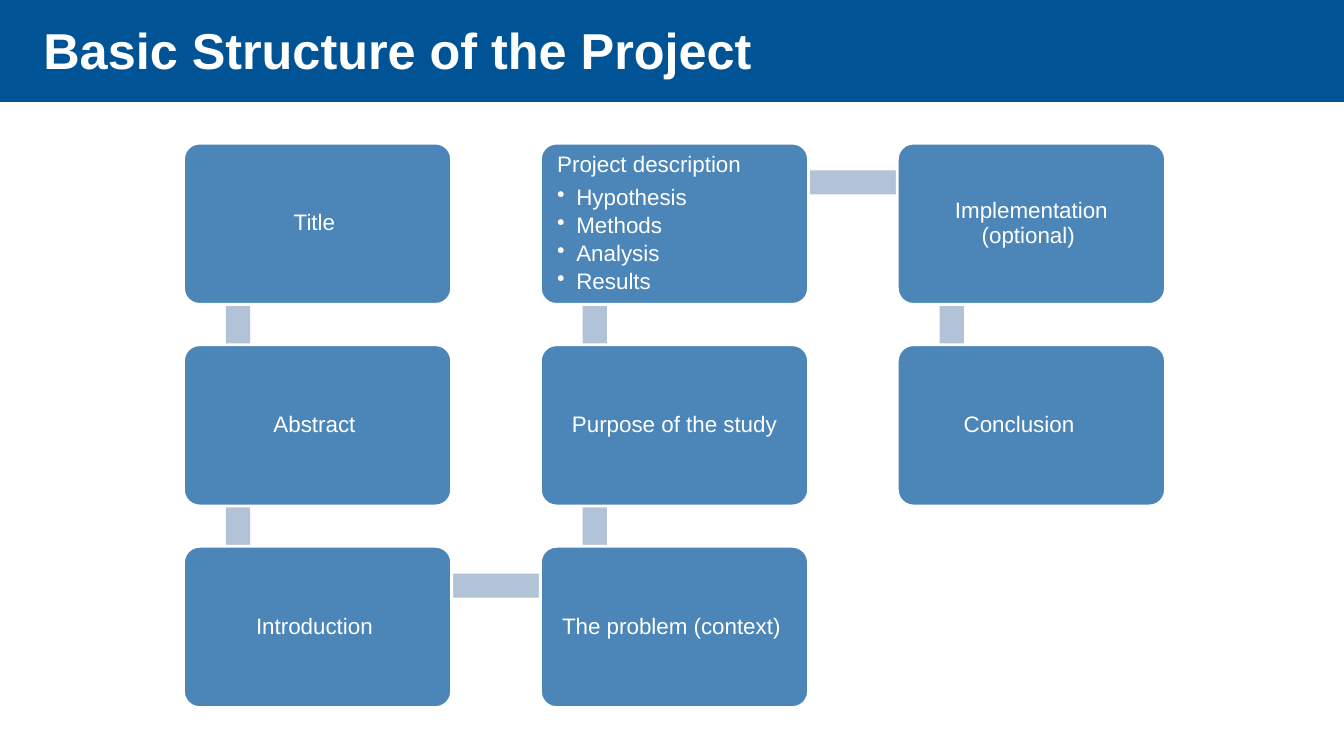
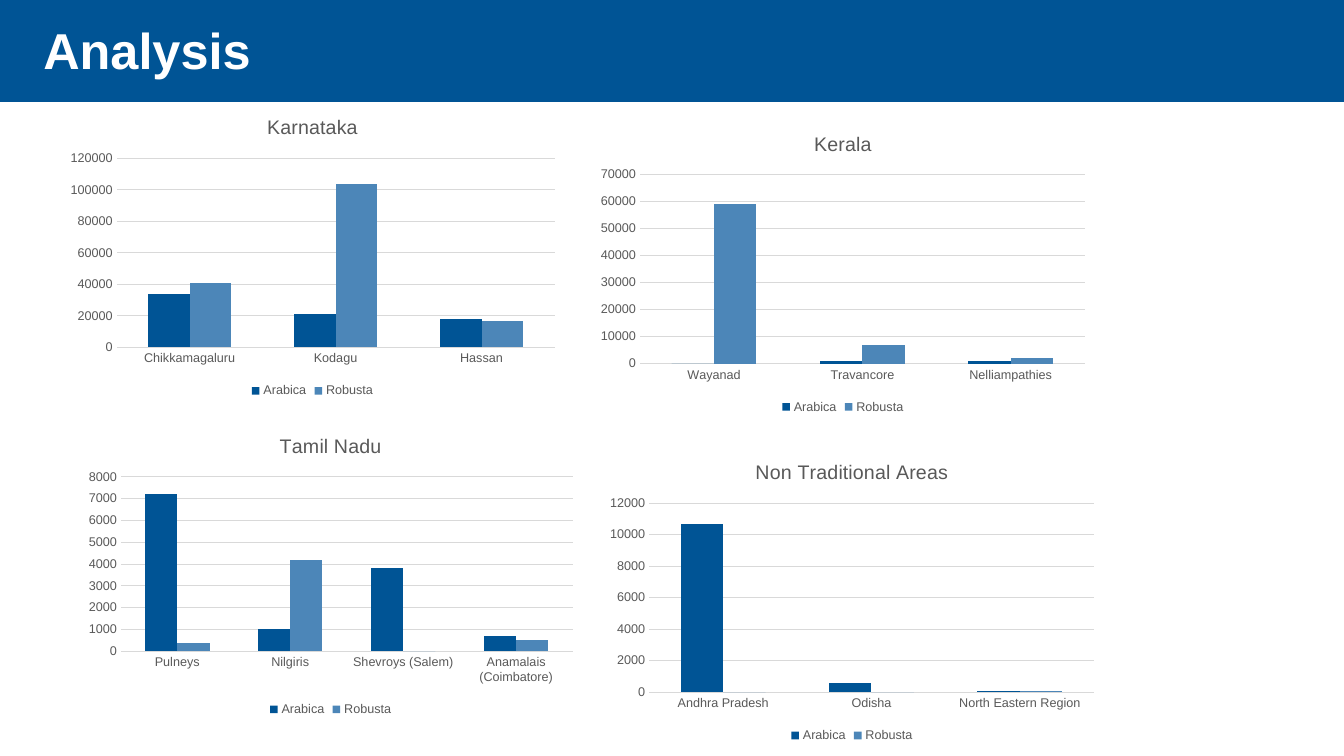
from pptx import Presentation
from pptx.chart.data import CategoryChartData
from pptx.dml.color import RGBColor
from pptx.enum.chart import XL_CHART_TYPE, XL_LEGEND_POSITION, XL_TICK_MARK
from pptx.enum.shapes import MSO_SHAPE
from pptx.enum.text import MSO_ANCHOR, PP_ALIGN
from pptx.oxml.ns import qn
from pptx.util import Inches, Pt
from lxml import etree

RECTANGLE, ROUNDED = MSO_SHAPE.RECTANGLE, MSO_SHAPE.ROUNDED_RECTANGLE
LEFT, CENTER, MIDDLE = PP_ALIGN.LEFT, PP_ALIGN.CENTER, MSO_ANCHOR.MIDDLE
COLUMNS, BOTTOM = XL_CHART_TYPE.COLUMN_CLUSTERED, XL_LEGEND_POSITION.BOTTOM
NO_TICK = XL_TICK_MARK.NONE

FONT = "Arial"
COLORS = {"navy": "005495", "blue": "4C86B8", "link": "B2C3D8", "white": "FFFFFF",
          "label": "595959", "grid": "D9D9D9"}
WIDTH, HEIGHT, BAND_HEIGHT = 13.33, 7.5, 1

# Content: steps in reading order, each with its column and row
STEPS = [
    ("Title ", 0, 0),
    ("Abstract ", 0, 1),
    ("Introduction ", 0, 2),
    ("The problem (context) ", 1, 2),
    ("Purpose of the study", 1, 1),
    ("Project description", 1, 0),
    ("Implementation (optional) ", 2, 0),
    ("Conclusion    ", 2, 1),
]
DETAILS = {"Project description": ["Hypothesis", "Methods", "Analysis", "Results"]}

# Content: region, left, top, districts, Arabica, Robusta
REGIONS = [
    ("Karnataka", 0.6, 0.99, ["Chikkamagaluru", "Kodagu", "Hassan"],
     [34000, 21000, 18000], [41000, 104000, 17000]),
    ("Kerala", 5.86, 1.15, ["Wayanad", "Travancore", "Nelliampathies"],
     [0, 1000, 1000], [59000, 7000, 2000]),
    ("Tamil Nadu", 0.78, 4.15,
     ["Pulneys", "Nilgiris", "Shevroys (Salem)", "Anamalais (Coimbatore)"],
     [7200, 1000, 3800, 700], [400, 4200, 0, 500]),
    ("Non Traditional Areas", 5.95, 4.41,
     ["Andhra Pradesh", "Odisha", "North Eastern Region"],
     [10700, 600, 100], [0, 0, 100]),
]
CHART_WIDTH, CHART_HEIGHT = 5, 3

# Step grid
GRID_LEFT, GRID_TOP, COLUMN_STEP, ROW_STEP = 1.82, 1.42, 3.54, 2
BOX_WIDTH, BOX_HEIGHT, BOX_INSET = 2.66, 1.6, 0.12
LINK_THICKNESS, LINK_X, LINK_Y = 0.24, 0.54, 0.39


def color(name):
    return RGBColor.from_string(COLORS[name])


def style_font(font, size, name, bold=False):
    font.name, font.size, font.bold = FONT, Pt(size), bold
    font.color.rgb = color(name)


def write(paragraph, text, size=16, fill="white", bold=False, align=LEFT,
          spacing=None, after=None, bullet_indent=None):
    if bullet_indent:
        properties = paragraph._p.get_or_add_pPr()
        properties.set("marL", str(Inches(bullet_indent)))
        properties.set("indent", str(-Inches(bullet_indent)))
        etree.SubElement(properties, qn("a:buChar")).set("char", "•")
    paragraph.alignment = align
    if spacing:
        paragraph.line_spacing = spacing
    if after:
        paragraph.space_after = Pt(after)
    run = paragraph.add_run()
    run.text = text
    style_font(run.font, size, fill, bold)


def add_block(slide, kind, left, top, width, height, fill, line=None):
    shape = slide.shapes.add_shape(kind, *map(Inches, (left, top, width, height)))
    shape.shadow.inherit = False
    shape.fill.solid()
    shape.fill.fore_color.rgb = color(fill)
    if line:
        shape.line.color.rgb = color(line)
        shape.line.width = Pt(2)
    else:
        shape.line.fill.background()
    return shape


def prepare_layout(presentation):
    """Give the title-only layout its band and title area."""
    layout = presentation.slide_layouts[5]
    title = layout.placeholders[0]
    title.left, title.top, title.width, title.height = map(
        Inches, (0.33, 0.08, 12.72, 0.82))
    title.text_frame.vertical_anchor = MIDDLE
    return layout


def add_band(layout, slide):
    band = add_block(slide, RECTANGLE, 0, 0, WIDTH, BAND_HEIGHT, "navy", "navy")
    band.element.nvSpPr.cNvPr.set("id", "20")
    layout.shapes.element.insert(2, band.element)


def add_titled_slide(presentation, layout, text):
    slide = presentation.slides.add_slide(layout)
    write(slide.shapes.title.text_frame.paragraphs[0], text, size=36, bold=True)
    return slide


def box_position(column, row):
    return GRID_LEFT + column * COLUMN_STEP, GRID_TOP + row * ROW_STEP


def add_link(slide, start, end):
    """Bar between two neighbouring steps; the boxes cover its ends."""
    left, top = box_position(min(start[0], end[0]), min(start[1], end[1]))
    x, y = left + LINK_X, top + LINK_Y
    half = LINK_THICKNESS / 2
    if start[0] == end[0]:
        area = x - half, y, LINK_THICKNESS, ROW_STEP
    else:
        area = x, y - half, COLUMN_STEP, LINK_THICKNESS
    add_block(slide, RECTANGLE, *area, "link")


def add_step(slide, text, column, row):
    box = add_block(slide, ROUNDED, *box_position(column, row),
                    BOX_WIDTH, BOX_HEIGHT, "blue", "white")
    box.adjustments[0] = 0.1
    frame = box.text_frame
    frame.word_wrap = True
    frame.vertical_anchor = MIDDLE
    frame.margin_left = frame.margin_right = Inches(BOX_INSET)
    frame.margin_top = frame.margin_bottom = Inches(BOX_INSET)
    details = DETAILS.get(text, [])
    write(frame.paragraphs[0], text, align=LEFT if details else CENTER,
          spacing=0.9, after=6.4)
    for detail in details:
        write(frame.add_paragraph(), detail, spacing=0.9, after=2.8,
              bullet_indent=0.19)


def add_region_chart(slide, region, left, top, districts, arabica, robusta):
    data = CategoryChartData(number_format="0")
    data.categories = districts
    data.add_series("Arabica", arabica)
    data.add_series("Robusta", robusta)
    area = map(Inches, (left, top, CHART_WIDTH, CHART_HEIGHT))
    chart = slide.shapes.add_chart(COLUMNS, *area, data).chart
    style_font(chart.font, 9, "label")

    chart.has_title = True
    write(chart.chart_title.text_frame.paragraphs[0], region, size=14,
          fill="label", align=CENTER)
    chart.chart_title.include_in_layout = False
    chart.has_legend = True
    chart.legend.position = BOTTOM
    chart.legend.include_in_layout = False
    style_font(chart.legend.font, 9, "label")

    for axis in (chart.category_axis, chart.value_axis):
        axis.major_tick_mark = axis.minor_tick_mark = NO_TICK
        axis.format.line.fill.background()
        style_font(axis.tick_labels.font, 9, "label")
    gridline = chart.value_axis.major_gridlines.format.line
    gridline.color.rgb = color("grid")
    gridline.width = Pt(0.75)

    plot = chart.plots[0]
    plot.gap_width, plot.overlap, plot.vary_by_categories = 150, 0, False
    for series, fill in zip(plot.series, ("navy", "blue")):
        series.format.fill.solid()
        series.format.fill.fore_color.rgb = color(fill)


def main():
    presentation = Presentation()
    presentation.slide_width, presentation.slide_height = Inches(WIDTH), Inches(HEIGHT)
    layout = prepare_layout(presentation)

    # Project structure
    slide = add_titled_slide(presentation, layout, "Basic Structure of the Project")
    add_band(layout, slide)
    for start, end in zip(STEPS, STEPS[1:]):
        add_link(slide, start[1:], end[1:])
    for step in STEPS:
        add_step(slide, *step)

    # Regional analysis
    slide = add_titled_slide(presentation, layout, "Analysis")
    for region in REGIONS:
        add_region_chart(slide, *region)

    presentation.save("out.pptx")


if __name__ == "__main__":
    main()
